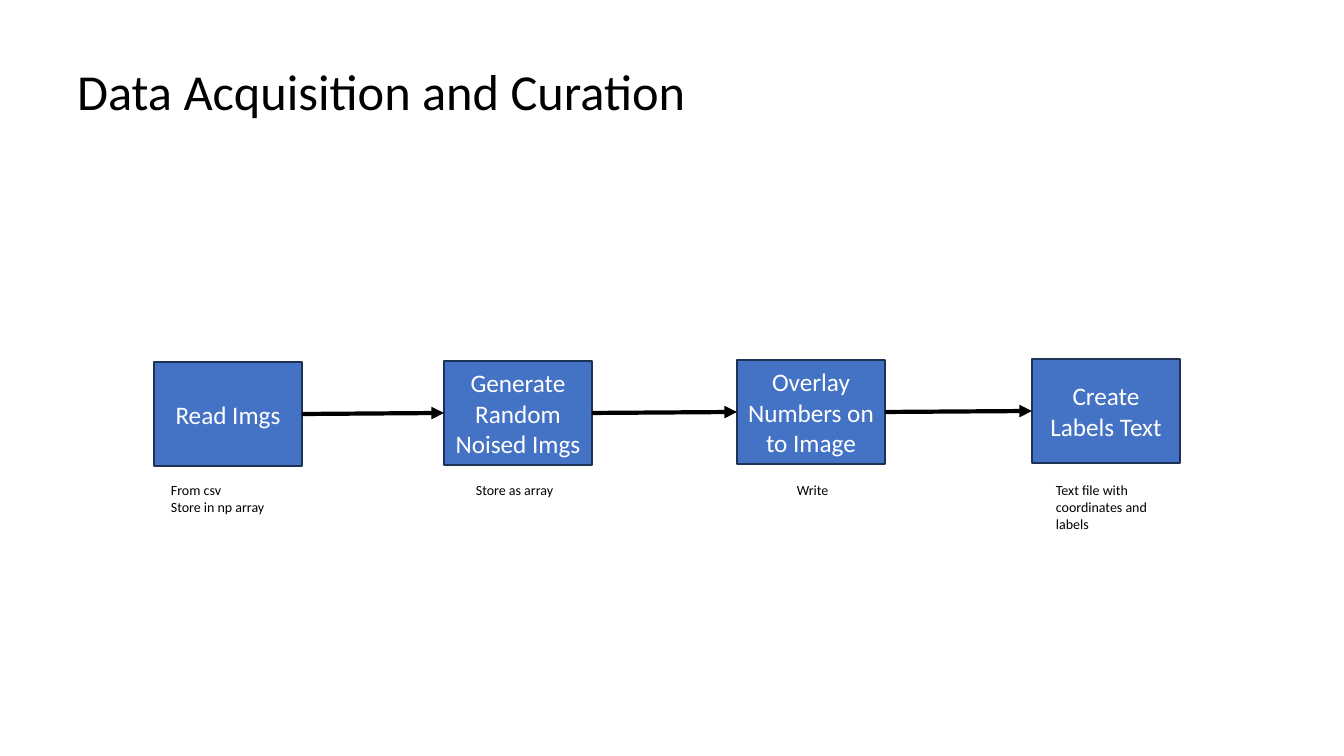
from itertools import pairwise

from lxml.etree import SubElement
from pptx import Presentation
from pptx.dml.color import RGBColor
from pptx.enum.shapes import MSO_CONNECTOR, MSO_SHAPE
from pptx.enum.text import MSO_ANCHOR, PP_ALIGN
from pptx.oxml.ns import qn
from pptx.util import Pt

TITLE = "Data Acquisition and Curation"
STEPS = [
    {"label": "Read Imgs", "left": 154, "top": 362,
     "note": ["From csv", "Store in np array"], "note_left": 161},
    {"label": "Generate Random Noised Imgs", "left": 444, "top": 361,
     "note": ["Store as array"], "note_left": 466},
    {"label": "Overlay Numbers on to Image", "left": 737, "top": 360,
     "note": ["Write"], "note_left": 787},
    {"label": "Create Labels Text", "left": 1032, "top": 359,
     "note": ["Text file with coordinates and labels"], "note_left": 1046},
]
COLORS = {"box": "4472C4", "border": "1E3256", "light": "FFFFFF", "dark": "000000"}
FONT = "Calibri"
SLIDE_SIZE = (1344, 756)
TITLE_AREA = (67, 55, 681, 72)
BOX_SIZE = (148, 104)
NOTE_TOP, NOTE_SIZE = 477, (134, 44)
EMU_PER_PX = 914400 / 100.8


def px(*lengths):
    return [round(length * EMU_PER_PX) for length in lengths]


def color(name):
    return RGBColor.from_string(COLORS[name])


def write(target, lines, size, ink="dark", align=PP_ALIGN.LEFT, anchor=MSO_ANCHOR.TOP):
    frame = target.text_frame
    frame.word_wrap = True
    frame.vertical_anchor = anchor
    frame.text = "\n".join(lines)
    for paragraph in frame.paragraphs:
        paragraph.alignment = align
        paragraph.line_spacing = 1.0
        font = paragraph.runs[0].font
        font.name, font.size, font.color.rgb = FONT, Pt(size), color(ink)


def add_step(slide, step):
    box = slide.shapes.add_shape(
        MSO_SHAPE.RECTANGLE, *px(step["left"], step["top"], *BOX_SIZE))
    box.shadow.inherit = False
    box.fill.solid()
    box.fill.fore_color.rgb = color("box")
    box.line.color.rgb = color("border")
    box.line.width = Pt(1)
    write(box, [step["label"]], 18, ink="light",
          align=PP_ALIGN.CENTER, anchor=MSO_ANCHOR.MIDDLE)
    note = slide.shapes.add_textbox(*px(step["note_left"], NOTE_TOP, *NOTE_SIZE))
    write(note, step["note"], 10)
    return box


def add_arrow(slide, source, target):
    arrow = slide.shapes.add_connector(MSO_CONNECTOR.STRAIGHT, 0, 0, 0, 0)
    arrow.begin_connect(source, 3)
    arrow.end_connect(target, 1)
    arrow.line.color.rgb = color("dark")
    arrow.line.width = Pt(3)
    SubElement(arrow.line._get_or_add_ln(), qn("a:tailEnd"), type="triangle")
    SubElement(arrow._element.spPr, qn("a:effectLst"))


def main():
    deck = Presentation()
    deck.slide_width, deck.slide_height = px(*SLIDE_SIZE)
    slide = deck.slides.add_slide(deck.slide_layouts[5])
    title = slide.shapes.title
    title.left, title.top, title.width, title.height = px(*TITLE_AREA)
    write(title, [TITLE], 36)
    boxes = [add_step(slide, step) for step in STEPS]
    for source, target in pairwise(boxes):
        add_arrow(slide, source, target)
    deck.save("out.pptx")


if __name__ == "__main__":
    main()
